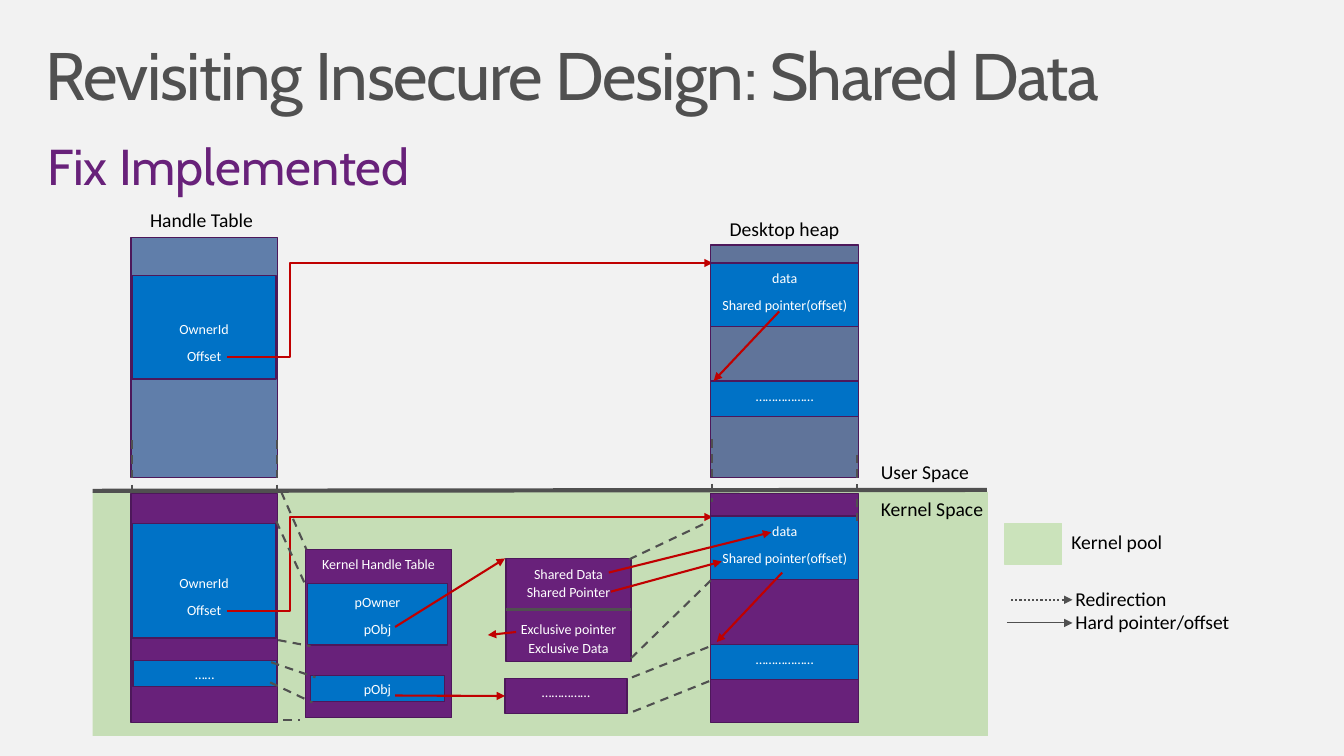
from lxml import etree
from pptx import Presentation
from pptx import util as u
from pptx.dml.color import RGBColor
from pptx.enum import dml, shapes, text
from pptx.oxml.ns import qn

# The grid has square cells, ten to the inch.
CELL = u.Inches(0.1)
COLS, ROWS = 133.33, 75
HANDLE_X, OBJECT_X, HEAP_X = 13, 50.2, 70.5
COLUMN_W, HEAP_W = 14.5, 14.7

PURPLE, EDGE, BLUE = "68217A", "4D185A", "0072C6"
RED, GREY, WHITE, BLACK = "C00000", "505050", "FFFFFF", "000000"
MIDDLE, TOP = text.MSO_ANCHOR.MIDDLE, text.MSO_ANCHOR.TOP
DASH, DOTS = dml.MSO_LINE.DASH, dml.MSO_LINE.ROUND_DOT
LEFT_SIDE, RIGHT_SIDE = 1, 3


def cells(*lengths):
    return [u.Emu(round(length * CELL)) for length in lengths]


def color(hex_code):
    return RGBColor.from_string(hex_code)


def add_run(paragraph, words, size, hex_code, font="Calibri"):
    run = paragraph.add_run()
    run.text = words
    run.font.size = u.Pt(size)
    run.font.name = font
    run.font.color.rgb = color(hex_code)
    return run


def add_block(slide, x, y, w, h, fill, edge=EDGE, opacity=None):
    block = slide.shapes.add_shape(shapes.MSO_SHAPE.RECTANGLE, *cells(x, y, w, h))
    block.shadow.inherit = False
    block.fill.solid()
    block.fill.fore_color.rgb = color(fill)
    if opacity:
        tint = block._element.spPr.find(qn("a:solidFill"))[0]
        etree.SubElement(tint, qn("a:alpha"), val=str(opacity * 1000))
    if edge:
        block.line.color.rgb = color(edge)
        block.line.width = u.Pt(0.85)
    else:
        block.line.fill.background()
    return block


def write_lines(block, lines, anchor=TOP, after=6, spacing=1.1, lower=0):
    """Centre white lines in a block; lower pushes the text down by rows."""
    frame = block.text_frame
    frame.word_wrap = True
    frame.vertical_anchor = anchor
    frame.margin_top = u.Inches(0.05) + cells(lower)[0]
    for i, words in enumerate(lines):
        paragraph = frame.paragraphs[0] if i == 0 else frame.add_paragraph()
        paragraph.alignment = text.PP_ALIGN.CENTER
        paragraph.line_spacing = spacing
        paragraph.space_after = u.Pt(after)
        add_run(paragraph, words, 10, WHITE)
    return frame


def add_label(slide, x, y, w, h, *lines):
    frame = slide.shapes.add_textbox(*cells(x, y, w, h)).text_frame
    frame.word_wrap = True
    for i, words in enumerate(lines):
        paragraph = frame.paragraphs[0] if i == 0 else frame.add_paragraph()
        add_run(paragraph, words, 14, BLACK)


def add_heading(slide, x, y, w, h, hex_code, parts, tracking=None):
    frame = slide.shapes.add_textbox(*cells(x, y, w, h)).text_frame
    frame.word_wrap = True
    frame.margin_left = frame.margin_right = u.Inches(0.16)
    frame.margin_top = frame.margin_bottom = u.Inches(0.1)
    heading = frame.paragraphs[0]
    heading.line_spacing = 0.9
    for words, size in parts:
        run = add_run(heading, words, size, hex_code, "Cabin")
        if tracking:
            run.font._element.set("spc", str(tracking))


def add_line(slide, x1, y1, x2, y2, hex_code=GREY, width=1.5, dash=None,
             arrow=False, bend=None):
    """Draw a straight line, or an elbow that turns at the share bend."""
    kind = shapes.MSO_CONNECTOR.ELBOW if bend else shapes.MSO_CONNECTOR.STRAIGHT
    line = slide.shapes.add_connector(kind, *cells(x1, y1, x2, y2))
    line.line.color.rgb = color(hex_code)
    line.line.width = u.Pt(width)
    if dash:
        line.line.dash_style = dash
    properties = line._element.spPr
    if arrow:
        etree.SubElement(properties.find(qn("a:ln")), qn("a:tailEnd"), type="triangle")
    etree.SubElement(properties, qn("a:effectLst"))
    if bend:
        guides = properties.find(qn("a:prstGeom")).get_or_add_avLst()
        etree.SubElement(guides, qn("a:gd"), name="adj1",
                         fmla=f"val {round(bend * 100000)}")
    return line


def add_handle_table(slide, y, h, fill, opacity, entry_y, entry_h):
    add_block(slide, HANDLE_X, y, COLUMN_W, h, fill, opacity=opacity)
    entry = add_block(slide, HANDLE_X + 0.1, entry_y, 14.3, entry_h, BLUE)
    write_lines(entry, ["OwnerId", "Offset"], MIDDLE, lower=2.9)


def add_desktop_heap(slide, y, h, fill, opacity, data_y):
    add_block(slide, HEAP_X, y, HEAP_W, h, fill, opacity=opacity)
    data = add_block(slide, HEAP_X, data_y, HEAP_W, 6.3, BLUE)
    write_lines(data, ["data", "Shared pointer(offset)"])
    target = add_block(slide, HEAP_X, data_y + 11.7 + (1 - bool(opacity)), HEAP_W, 3.5, BLUE)
    write_lines(target, ["………………"])


def add_kernel_handles(slide):
    table = add_block(slide, 30.3, 54.5, COLUMN_W, 16.7, PURPLE)
    write_lines(table, ["Kernel Handle Table"])
    owner = add_block(slide, 30.5, 57.9, 13.9, 6.1, BLUE)
    write_lines(owner, ["pOwner", "pObj"], MIDDLE)
    pointer = add_block(slide, 30.8, 67, 13.3, 2.6, BLUE)
    write_lines(pointer, ["pObj"], MIDDLE)


def add_kernel_objects(slide):
    other = add_block(slide, 50.1, 67.3, 12.1, 3.5, PURPLE)
    write_lines(other, ["……………"], spacing=u.Pt(12))
    kernel_object = add_block(slide, OBJECT_X, 55.4, 12.4, 10.2, PURPLE)
    frame = write_lines(kernel_object, ["Shared Data", "Shared Pointer",
                                        "Exclusive pointer", "Exclusive Data"], after=0)
    frame.paragraphs[2].space_before = u.Pt(13.4)
    divider = add_line(slide, OBJECT_X, 60.5, 62.6, 60.5, width=2.25)
    divider.begin_connect(kernel_object, LEFT_SIDE)
    divider.end_connect(kernel_object, RIGHT_SIDE)
    to_other = add_line(slide, 39.2, 69, 50.1, 69, RED, arrow=True)
    to_other.end_connect(other, LEFT_SIDE)


def add_legend(slide):
    add_block(slide, 99.7, 51.9, 5.6, 4.1, "CBE3BB", "CBE3BB")
    add_label(slide, 105.3, 52.1, 12.4, 3.4, "Kernel pool")
    add_line(slide, 100.3, 59.5, 106.4, 59.5, dash=DOTS, arrow=True)
    add_line(slide, 99.9, 61.8, 106.4, 61.8, width=0.75, arrow=True)
    add_label(slide, 105.7, 57.7, 18, 5.7, "Redirection", "Hard pointer/offset")


def main():
    deck = Presentation()
    deck.slide_width, deck.slide_height = cells(COLS, ROWS)
    slide = deck.slides.add_slide(deck.slide_layouts[6])
    slide.background.fill.solid()
    slide.background.fill.fore_color.rgb = color("F2F2F2")

    add_heading(slide, 2.9, 3.2, 127.5, 9.8, GREY,
                [("Revisiting Insecure Design", 48), (": Shared Data", 47)], -100)
    add_heading(slide, 3.1, 13.1, 127.4, 7.5, PURPLE, [("Fix Implemented", 36)])

    add_block(slide, 9.2, 48.8, 88.8, 24.2, "A9D18E", None, 60)
    add_handle_table(slide, 49, 22.7, PURPLE, None, 51.9, 11.4)
    write_lines(add_block(slide, 13.2, 65.5, 14.2, 2.6, BLUE), ["……"], MIDDLE)
    add_handle_table(slide, 23.6, 23.8, "00317B", 60, 27.3, 10.3)
    for offset_y, data_y in ((60.6, 51.3), (35.4, 26.1)):
        add_line(slide, 22.5, offset_y, 70.7, data_y, RED, arrow=True, bend=0.13)
    add_line(slide, 9.2, 48.7, 97.9, 48.6, width=3)
    add_desktop_heap(slide, 49, 22.7, PURPLE, None, 51.2)
    add_desktop_heap(slide, 24.3, 23.1, "002060", 60, 26.1)
    add_kernel_handles(slide)
    add_kernel_objects(slide)

    redirections = [
        (13.1, 43.7, 13.1, 49), (27.5, 43.7, 27.5, 49.1),
        (70.6, 43.6, 70.6, 49.8), (85, 45.1, 85, 51.7),
        (27.9, 48.8, 30.4, 54.5), (27.4, 51.7, 30.2, 57.8),
        (28.1, 71.4, 29.8, 71.4), (27.6, 63.5, 30.8, 64.1),
        (26.9, 65.7, 31.3, 67.2), (26.8, 67.7, 31, 69.7),
        (62.8, 70.6, 70.8, 67.4), (62.7, 67.2, 70.5, 64.1),
        (62.4, 55.5, 70.2, 51.8), (62.6, 65.3, 70.7, 57.4),
    ]
    for ends in redirections:
        add_line(slide, *ends, dash=DASH)
    pointers = [
        (77.6, 56.8, 71.1, 63.7), (77.3, 30.9, 70.8, 37.8),
        (60.4, 56.8, 76.5, 52.8), (60.6, 58.7, 71.6, 55.7),
        (51.2, 62.7, 48.4, 63), (39.2, 62.2, 50.1, 55.4),
    ]
    for ends in pointers:
        add_line(slide, *ends, RED, arrow=True)

    add_label(slide, 13.9, 20.1, 13.6, 3.4, "Handle Table")
    add_label(slide, 71.4, 21, 13.6, 3.4, "Desktop heap")
    add_label(slide, 86.4, 45.1, 11.5, 3.4, "User Space")
    add_label(slide, 86.4, 48.8, 12.4, 3.4, "Kernel Space")
    add_legend(slide)
    deck.save("out.pptx")


if __name__ == "__main__":
    main()
